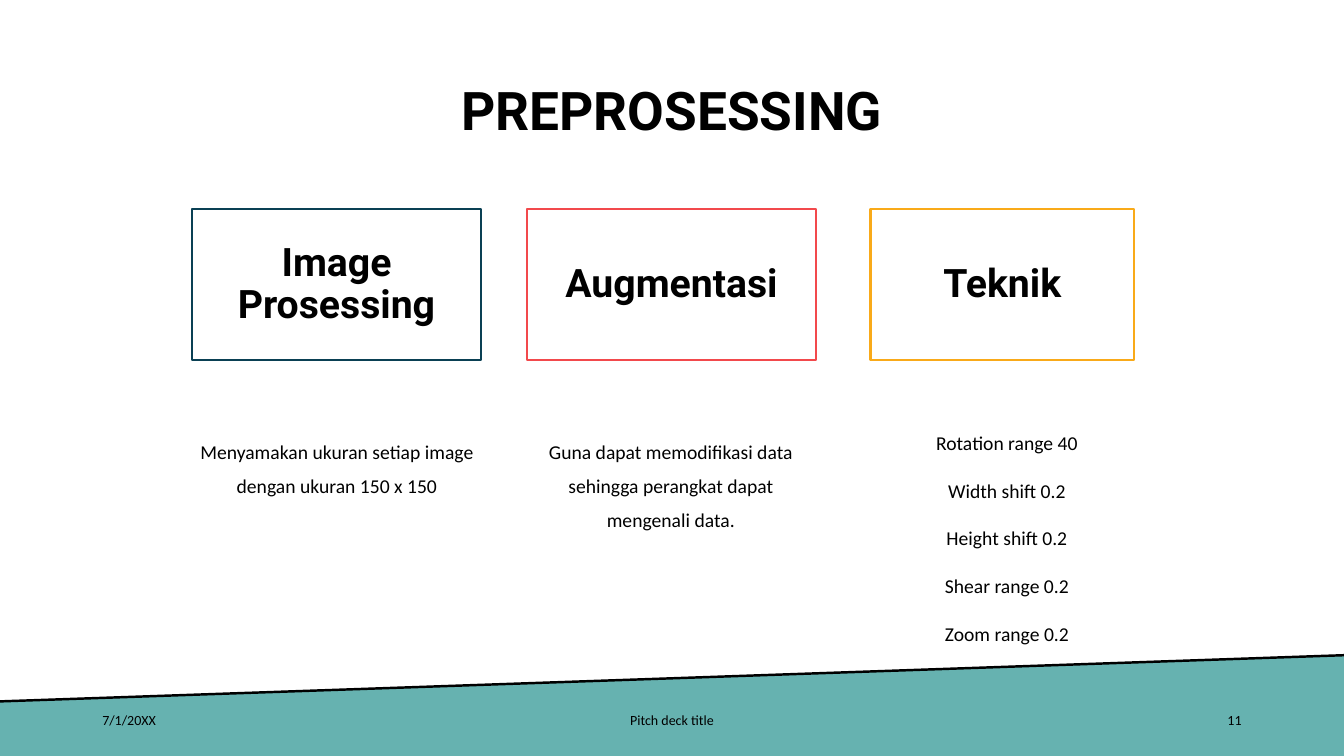
from dataclasses import dataclass

from lxml import etree
from pptx import Presentation
from pptx.dml.color import RGBColor
from pptx.enum import shapes, text
from pptx.oxml import ns
from pptx.util import Emu, Pt

PX = 9525  # EMU in one px, 96 px to the inch
WIDE, HIGH = 1280, 720

BLACK = RGBColor(0x00, 0x00, 0x00)
TEAL = RGBColor(0x66, 0xB2, 0xB0)
NAVY = RGBColor(0x0A, 0x40, 0x54)
RED = RGBColor(0xF2, 0x49, 0x4C)
GOLD = RGBColor(0xF9, 0xAA, 0x19)

HEAD, BODY = "Roboto", "Calibri"
LEFT, MID, RIGHT = text.PP_ALIGN.LEFT, text.PP_ALIGN.CENTER, text.PP_ALIGN.RIGHT


@dataclass
class Box:
    left: int
    top: int
    width: int
    height: int

    def emu(self) -> list[Emu]:
        return [Emu(n * PX) for n in (self.left, self.top, self.width, self.height)]


@dataclass
class Column:
    head: str
    color: RGBColor
    frame: Box
    lines: list[str]
    area: Box
    listed: bool = False


@dataclass
class Foot:
    words: str
    area: Box
    align: text.PP_ALIGN


COLUMNS = [
    Column("Image Prosessing", NAVY, Box(183, 199, 275, 144),
           ["Menyamakan ukuran setiap image dengan ukuran 150 x 150"],
           Box(177, 405, 288, 168)),
    Column("Augmentasi", RED, Box(502, 199, 275, 144),
           ["Guna dapat memodifikasi data sehingga perangkat dapat mengenali data."],
           Box(495, 405, 288, 168)),
    Column("Teknik", GOLD, Box(829, 199, 251, 144),
           ["Rotation range 40", "Width shift 0.2", "Height shift 0.2",
            "Shear range 0.2", "Zoom range 0.2"],
           Box(815, 396, 288, 168), listed=True),
]
FEET = [
    Foot("7/1/20XX", Box(88, 667, 288, 38), LEFT),
    Foot("Pitch deck title", Box(424, 667, 432, 38), MID),
    Foot("11", Box(904, 667, 288, 38), RIGHT),
]


def write(shape, lines: list[str], *, size: int, font: str = BODY, bold: bool = False,
          align=MID, anchor=text.MSO_ANCHOR.MIDDLE, line=None, before: int = 0,
          inset: int | None = None) -> None:
    frame = shape.text_frame
    frame.word_wrap = True
    frame.auto_size = text.MSO_AUTO_SIZE.NONE
    frame.vertical_anchor = anchor
    if inset is not None:
        frame.margin_left = frame.margin_right = Emu(inset * PX)
        frame.margin_top = frame.margin_bottom = Emu(inset * PX)
    frame.text = "\n".join(lines)
    for para in frame.paragraphs:
        para.alignment = align
        para.space_before = Pt(before)
        if line is not None:
            para.line_spacing = line
        face = para.runs[0].font
        face.name, face.size, face.bold = font, Pt(size), bold
        face.color.rgb = BLACK


def place(shape, box: Box) -> None:
    shape.left, shape.top, shape.width, shape.height = box.emu()


def plain(shape) -> None:
    """Take the bullets and indents off a list."""
    for para in shape.text_frame.paragraphs:
        props = para._p.get_or_add_pPr()
        props.set("marL", "0")
        props.set("indent", "0")
        etree.SubElement(props, ns.qn("a:buNone"))


def band(slide) -> None:
    low, high = 668, 624
    form = slide.shapes.build_freeform(0, low, scale=PX)
    form.add_line_segments([(WIDE, high), (WIDE, HIGH), (0, HIGH)])
    wedge = form.convert_to_shape()
    wedge.shadow.inherit = False
    wedge.fill.solid()
    wedge.fill.fore_color.rgb = TEAL
    wedge.line.fill.background()

    edge = slide.shapes.add_connector(
        shapes.MSO_CONNECTOR.STRAIGHT, WIDE * PX, high * PX, 0, low * PX)
    edge.line.color.rgb = BLACK
    edge.line.width = Pt(1.75)
    etree.SubElement(edge._element.spPr, ns.qn("a:effectLst"))


def column(slide, col: Column) -> None:
    # Framed heading
    rect = slide.shapes.add_shape(shapes.MSO_SHAPE.RECTANGLE, *col.frame.emu())
    rect.shadow.inherit = False
    rect.fill.background()
    rect.line.color.rgb = col.color
    rect.line.width = Pt(1.75)
    write(rect, [col.head], size=28, font=HEAD, bold=True, line=0.9, inset=0)

    # Text below
    if col.listed:
        note = slide.placeholders[1]
        place(note, col.area)
    else:
        note = slide.shapes.add_textbox(*col.area.emu())
    write(note, col.lines, size=14, anchor=text.MSO_ANCHOR.TOP, line=Pt(24), before=10)
    if col.listed:
        plain(note)


def main() -> None:
    deck = Presentation()
    deck.slide_width, deck.slide_height = Emu(WIDE * PX), Emu(HIGH * PX)
    slide = deck.slides.add_slide(deck.slide_layouts[1])

    # Title
    title = slide.shapes.title
    place(title, Box(88, 38, 1104, 139))
    write(title, ["PREPROSESSING"], size=38, font=HEAD, bold=True, line=0.9)

    # Columns
    for col in COLUMNS:
        column(slide, col)

    # Footer
    band(slide)
    for foot in FEET:
        label = slide.shapes.add_textbox(*foot.area.emu())
        write(label, [foot.words], size=10, align=foot.align)

    deck.save("out.pptx")


if __name__ == "__main__":
    main()
